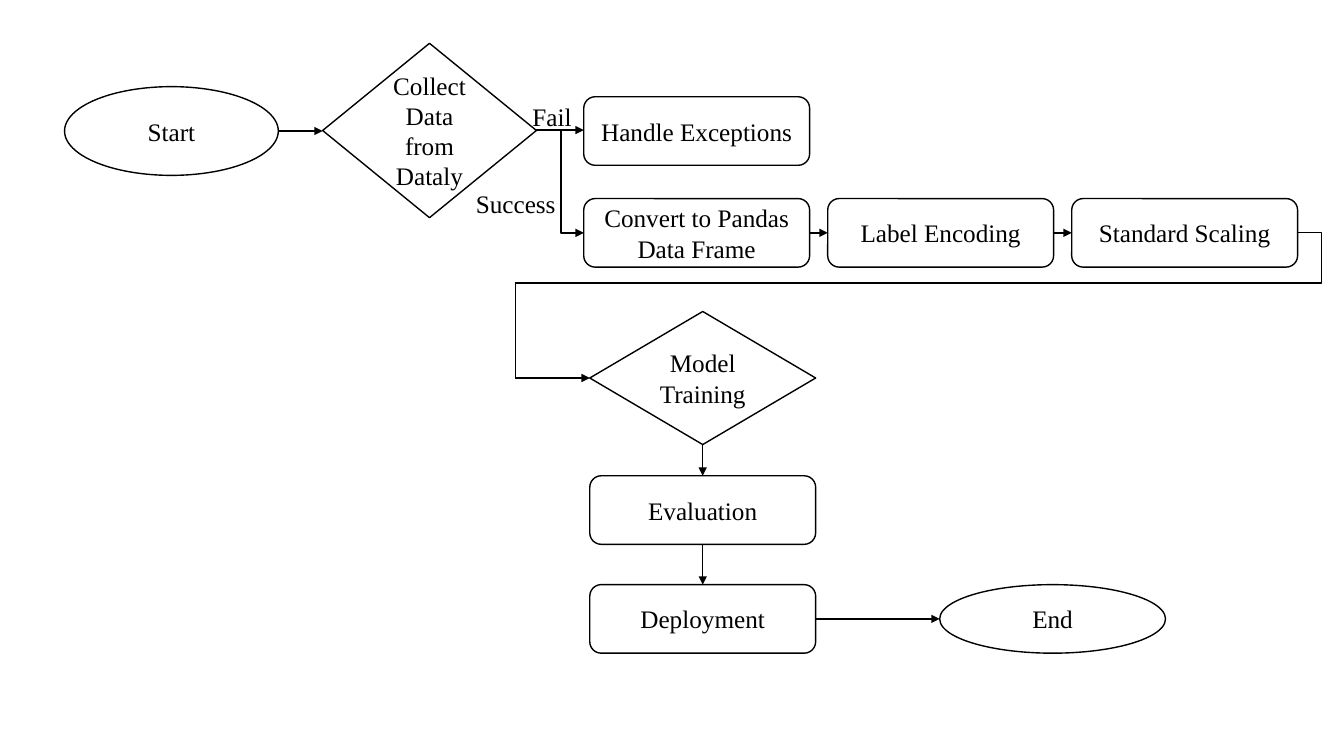
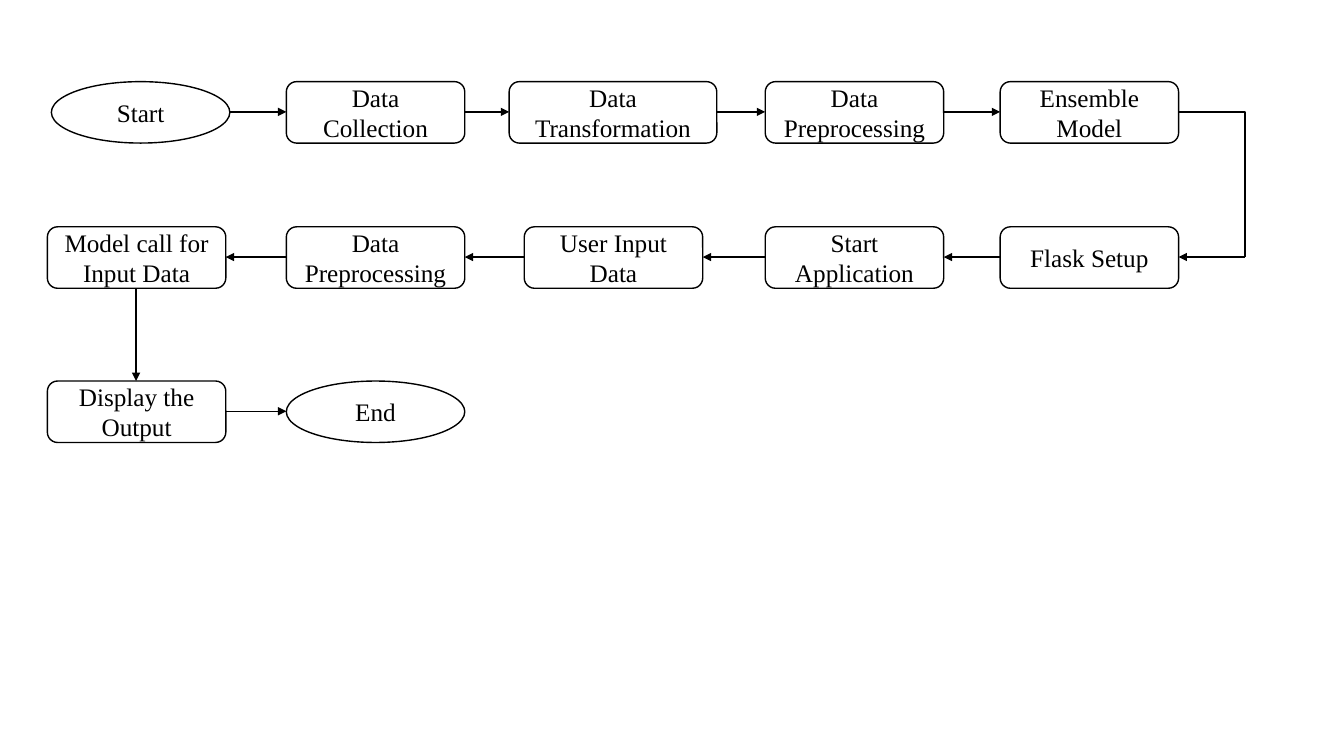
from itertools import pairwise

from lxml import etree
from pptx import Presentation
from pptx.dml.color import RGBColor
from pptx.enum import shapes, text
from pptx.oxml.ns import qn
from pptx.util import Pt

# Style shared by both slides; 100 px to the inch
PX = 9144
COLORS = {"ink": "000000", "paper": "FFFFFF"}
FONT = {"name": "Times New Roman", "size": Pt(18)}
FRAME = {"word_wrap": True, "vertical_anchor": text.MSO_ANCHOR.MIDDLE}
TIGHT = {"margin_left": 0, "margin_right": 0, "margin_top": 0, "margin_bottom": 0}
KINDS = {
    "step": shapes.MSO_SHAPE.ROUNDED_RECTANGLE,
    "end": shapes.MSO_SHAPE.OVAL,
    "choice": shapes.MSO_SHAPE.FLOWCHART_DECISION,
}


def color(name):
    return RGBColor.from_string(COLORS[name])


def assign(item, values):
    for key, value in values.items():
        setattr(item, key, value)


class Deck:
    def __init__(self, width, height):
        self.prs = Presentation()
        assign(self.prs, {"slide_width": width * PX, "slide_height": height * PX})
        self.slide = None

    def page(self):
        self.slide = self.prs.slides.add_slide(self.prs.slide_layouts[6])

    def letter(self, shape, words, extra):
        frame = shape.text_frame
        assign(frame, FRAME | extra)
        para = frame.paragraphs[0]
        para.alignment = text.PP_ALIGN.CENTER
        run = para.add_run()
        run.text = words
        assign(run.font, FONT)
        run.font.color.rgb = color("ink")

    def stroke(self, line):
        line.color.rgb = color("ink")
        line.width = Pt(1)

    def node(self, kind, words, *box):
        """Draw a flowchart node and return its box for linking."""
        shape = self.slide.shapes.add_shape(KINDS[kind], *(n * PX for n in box))
        shape.shadow.inherit = False
        shape.fill.solid()
        shape.fill.fore_color.rgb = color("paper")
        self.stroke(shape.line)
        self.letter(shape, words, {})
        return box

    def label(self, words, *box):
        shape = self.slide.shapes.add_textbox(*(n * PX for n in box))
        self.letter(shape, words, TIGHT)

    def line(self, start, end, head=True, bend=None, adjust=None):
        """Draw a straight line, or an elbow when bend names its preset."""
        kind = shapes.MSO_CONNECTOR.ELBOW if bend else shapes.MSO_CONNECTOR.STRAIGHT
        ends = (n * PX for n in (*start, *end))
        link = self.slide.shapes.add_connector(kind, *ends)
        self.stroke(link.line)
        props = link.element.spPr
        if bend:
            shape = props.find(qn("a:prstGeom"))
            shape.set("prst", bend)
            if adjust is not None:
                guides = shape.find(qn("a:avLst"))
                if guides is None:
                    guides = etree.SubElement(shape, qn("a:avLst"))
                etree.SubElement(guides, qn("a:gd"), name="adj1", fmla=f"val {adjust}")
        if head:
            etree.SubElement(link.get_or_add_ln(), qn("a:tailEnd"), type="triangle")
        etree.SubElement(props, qn("a:effectLst"))

    def link(self, a, b):
        """Join the facing sides of two boxes in one row or column."""
        ax, ay, aw, ah = a
        bx, by, bw, bh = b
        if ay + ah < by:
            mid = ax + aw // 2
            self.line((mid, ay + ah), (mid, by))
        else:
            mid = ay + ah // 2
            left, right = (ax + aw, bx) if ax < bx else (ax, bx + bw)
            self.line((left, mid), (right, mid))

    def chain(self, boxes):
        for a, b in pairwise(boxes):
            self.link(a, b)


def training(deck):
    deck.page()
    wide, high = 224, 68

    # Collection and its two outcomes
    start = deck.node("end", "Start", 64, 86, 212, 88)
    collect = deck.node("choice", "Collect Data from Dataly", 320, 43, 212, 173)
    handle = deck.node("step", "Handle Exceptions", 579, 96, wide, high)
    deck.chain([start, collect, handle])
    deck.label("Fail", 511, 101, 73, 29)
    deck.label("Success", 461, 187, 101, 29)

    # Preparation row
    names = ["Convert to Pandas Data Frame", "Label Encoding", "Standard Scaling"]
    row = [deck.node("step", name, 579 + 242 * i, 197, wide, high)
           for i, name in enumerate(names)]
    deck.chain(row)
    deck.line((534, 129), (579, 231), bend="bentConnector3")

    # Training column
    train = deck.node("choice", "Model Training", 585, 309, wide, 132)
    check = deck.node("step", "Evaluation", 585, 472, wide, high)
    deploy = deck.node("step", "Deployment", 585, 580, wide, high)
    end = deck.node("end", "End", 932, 580, wide, high)
    deck.chain([train, check, deploy, end])

    # Return path from scaling to training
    deck.line((1286, 231), (511, 281), head=False, bend="bentConnector3", adjust=-3200)
    deck.line((511, 281), (511, 375), head=False)
    deck.line((511, 375), (585, 375))


def serving(deck):
    deck.page()
    wide, high = 177, 61

    # Rows of nodes in flow order: kind, words, left, width
    rows = {
        81: [
            ("end", "Start", 51, wide),
            ("step", "Data Collection", 284, wide),
            ("step", "Data Transformation", 505, 206),
            ("step", "Data Preprocessing", 759, wide),
            ("step", "Ensemble Model", 992, wide),
        ],
        225: [
            ("step", "Flask Setup", 992, wide),
            ("step", "Start Application", 759, wide),
            ("step", "User Input Data", 520, wide),
            ("step", "Data Preprocessing", 284, wide),
            ("step", "Model call for Input Data", 47, wide),
        ],
        378: [
            ("step", "Display the Output", 47, wide),
            ("end", "End", 284, wide),
        ],
    }
    build, call, show = (
        [deck.node(kind, words, x, y, w, high) for kind, words, x, w in row]
        for y, row in rows.items()
    )
    deck.chain(build)
    deck.chain(call + show)

    # Turn from the first row into the second
    deck.line((1169, 111), (1235, 255), head=False, bend="bentConnector2")
    deck.line((1235, 255), (1169, 255))


def main():
    deck = Deck(1333, 750)
    training(deck)
    serving(deck)
    deck.prs.save("out.pptx")


if __name__ == "__main__":
    main()
